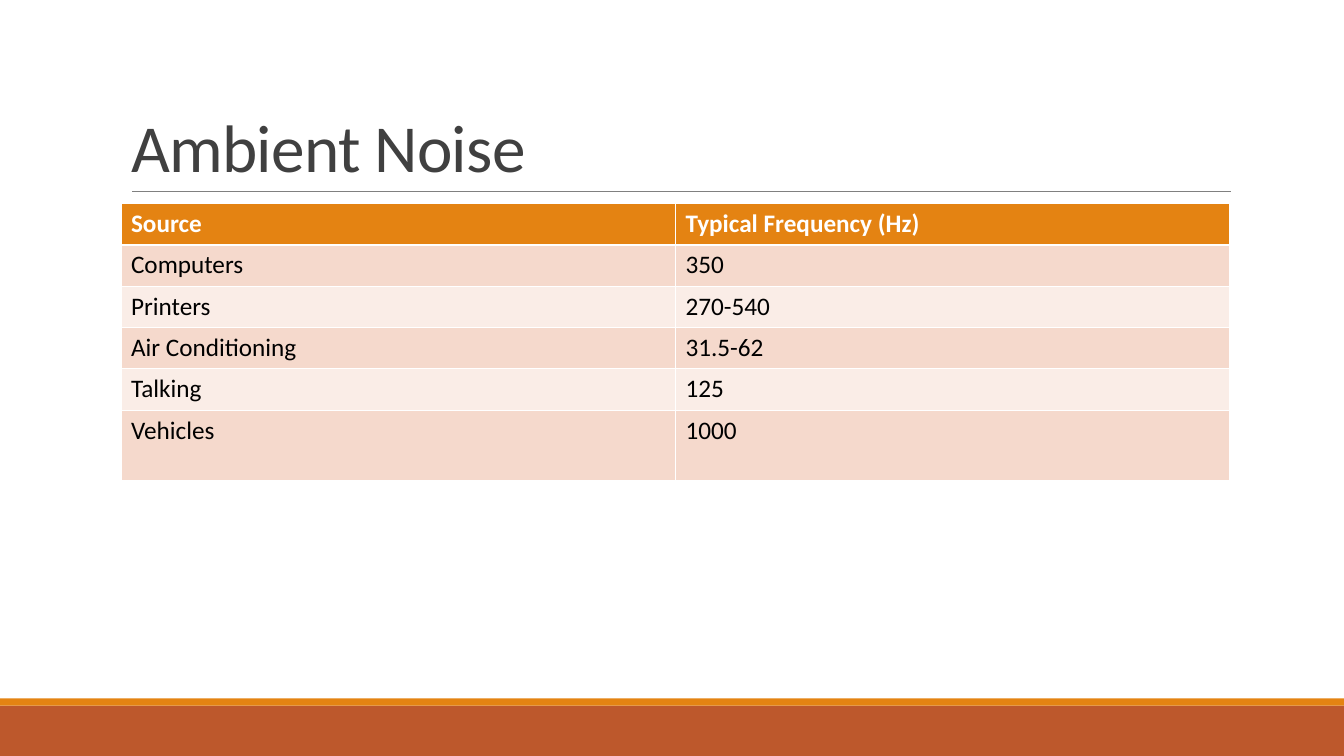
from pptx import Presentation
from pptx import util as u
from pptx.dml.color import RGBColor
from pptx.enum import shapes, text
from pptx.oxml import ns
from lxml import etree

HEADING = "Ambient Noise"
NOISE_SOURCES = [
    ("Source", "Typical Frequency (Hz)"),
    ("Computers", "350"),
    ("Printers", "270-540"),
    ("Air Conditioning", "31.5-62"),
    ("Talking", "125"),
    ("Vehicles", "1000"),
]
FOOTER_BANDS = [(7, 0.5, "BD582C"), (6.93, 0.07, "E48312")]
HEADER_FILL = "E48312"
ROW_FILLS = ("FAEDE7", "F5D9CC")
SLIDE_WIDTH, SLIDE_HEIGHT = 13.33, 7.5
LEFT, WIDTH = 1.2, 11
TABLE_TOP, ROW_HEIGHT, LAST_ROW_HEIGHT = 2.02, 0.41, 0.7


def color(value):
    return RGBColor.from_string(value)


def write(frame, words, size=18, ink="000000", bold=False, line_spacing=None, tracking=None):
    paragraph = frame.paragraphs[0]
    paragraph.alignment = text.PP_ALIGN.LEFT
    if line_spacing:
        paragraph.line_spacing = line_spacing
    run = paragraph.add_run()
    run.text = words
    run.font.name = "Calibri"
    run.font.size = u.Pt(size)
    run.font.bold = bold
    run.font.color.rgb = color(ink)
    if tracking:
        run.font._element.set("spc", str(round(tracking * 100)))


def add_footer_band(slide, top, height, fill):
    band = slide.shapes.add_shape(
        shapes.MSO_SHAPE.RECTANGLE, 0, u.Inches(top), u.Inches(SLIDE_WIDTH), u.Inches(height))
    band.shadow.inherit = False
    band.fill.solid()
    band.fill.fore_color.rgb = color(fill)
    band.line.fill.background()


def add_title_rule(slide):
    rule = slide.shapes.add_connector(
        shapes.MSO_CONNECTOR.STRAIGHT,
        u.Inches(1.31), u.Inches(1.9), u.Inches(12.21), u.Inches(1.9))
    rule.line.color.rgb = color("808080")
    rule.line.width = u.Pt(0.5)
    etree.SubElement(rule._element.spPr, ns.qn("a:effectLst"))


def add_heading(slide):
    heading = slide.shapes.title
    heading.left, heading.top = u.Inches(LEFT), u.Inches(0.31)
    heading.width, heading.height = u.Inches(WIDTH), u.Inches(1.59)
    frame = heading.text_frame
    frame.auto_size = text.MSO_AUTO_SIZE.NONE
    frame.word_wrap = True
    frame.vertical_anchor = text.MSO_ANCHOR.BOTTOM
    write(frame, HEADING, size=48, ink="404040", line_spacing=0.85, tracking=-0.5)


def add_noise_table(slide):
    heights = [ROW_HEIGHT] * (len(NOISE_SOURCES) - 1) + [LAST_ROW_HEIGHT]
    noise_table = slide.shapes.add_table(
        len(NOISE_SOURCES), len(NOISE_SOURCES[0]), u.Inches(LEFT), u.Inches(TABLE_TOP),
        u.Inches(WIDTH), u.Inches(sum(heights))).table
    for row, (entries, height) in enumerate(zip(NOISE_SOURCES, heights)):
        noise_table.rows[row].height = u.Inches(height)
        is_header = row == 0
        for column, entry in enumerate(entries):
            cell = noise_table.cell(row, column)
            cell.fill.solid()
            cell.fill.fore_color.rgb = color(HEADER_FILL if is_header else ROW_FILLS[row % 2])
            write(cell.text_frame, entry, ink="FFFFFF" if is_header else "000000", bold=is_header)


def main():
    deck = Presentation()
    deck.slide_width, deck.slide_height = u.Inches(SLIDE_WIDTH), u.Inches(SLIDE_HEIGHT)
    slide = deck.slides.add_slide(deck.slide_layouts[5])
    for top, height, fill in FOOTER_BANDS:
        add_footer_band(slide, top, height, fill)
    add_title_rule(slide)
    add_heading(slide)
    add_noise_table(slide)
    deck.save("out.pptx")


if __name__ == "__main__":
    main()
